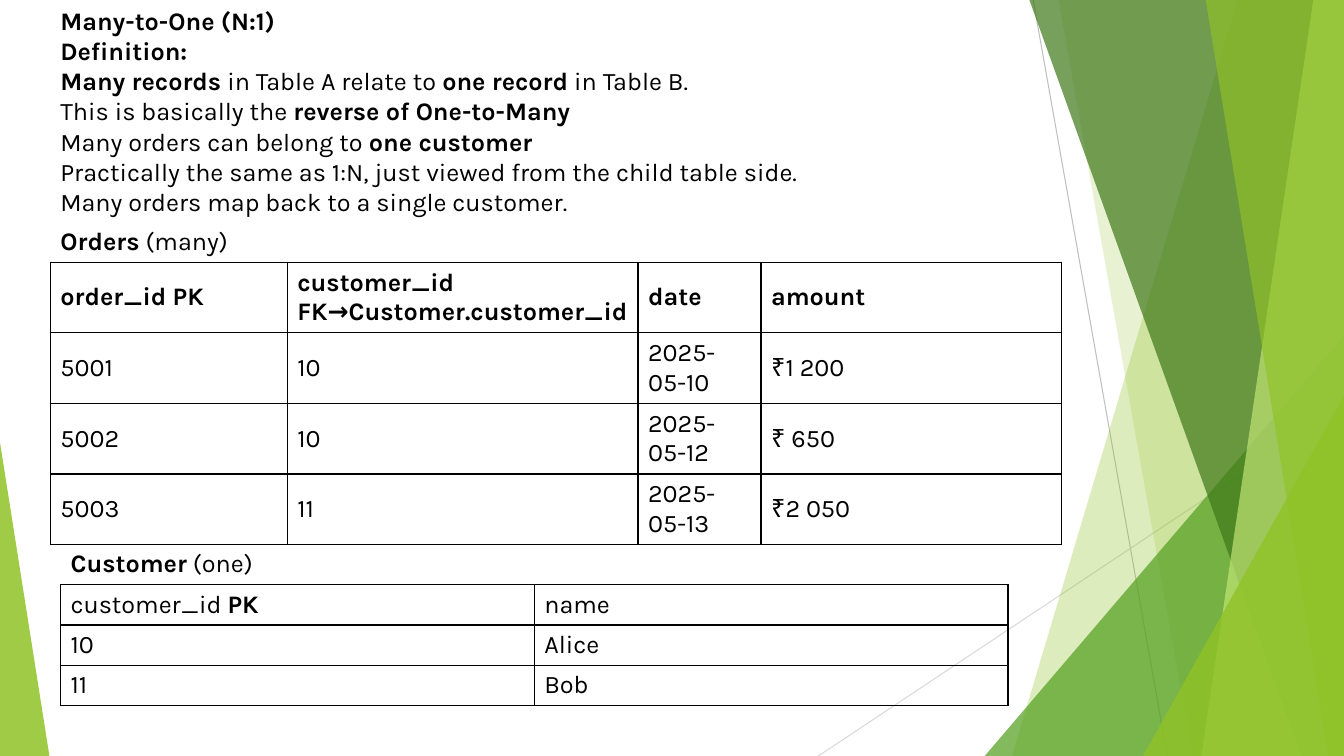
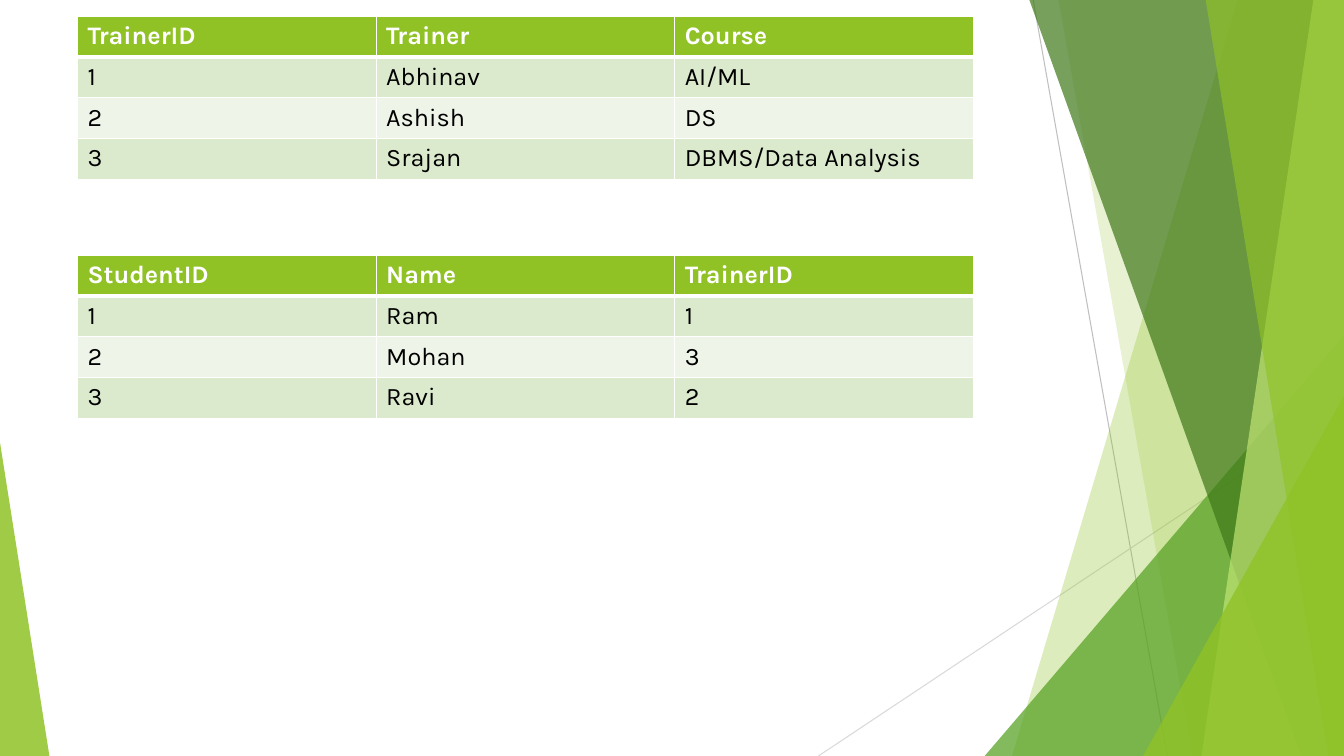
from lxml import etree
from pptx import Presentation
from pptx.dml.color import RGBColor
from pptx.enum import shapes, text
from pptx.oxml import ns
from pptx.util import Pt

WIDTH, HEIGHT = 960, 540
BLEED = 0.6
FONT, FONT_SIZE = "Karla", 18

BLACK = RGBColor(0x00, 0x00, 0x00)
WHITE = RGBColor(0xFF, 0xFF, 0xFF)
LIME = RGBColor(0x90, 0xC2, 0x26)
PALE_LIME = RGBColor(0xC0, 0xE4, 0x74)
GREEN = RGBColor(0x54, 0xA0, 0x21)
DARK_GREEN = RGBColor(0x3F, 0x78, 0x19)
BAND_DARK = RGBColor(0xDB, 0xE9, 0xCD)
BAND_LIGHT = RGBColor(0xEE, 0xF4, 0xE8)
GREY = RGBColor(0xBF, 0xBF, 0xBF)
LIGHT_GREY = RGBColor(0xD9, 0xD9, 0xD9)

DEFINITION = [
    "**Many-to-One (N:1)**",
    "**Definition:**",
    "**Many records** in Table A relate to **one record** in Table B.",
    "This is basically the **reverse of One-to-Many**",
    "Many orders can belong to **one customer**",
    "Practically the same as 1:N, just viewed from the child table side.",
    "Many orders map back to a single customer.",
]
ORDERS = [
    ["**Orders** (many)", "", "", ""],
    ["**order_id PK**", "**customer_id FK→Customer.customer_id**",
     "**date**", "**amount**"],
    ["5001", "10", "2025-05-10", "₹1 200"],
    ["5002", "10", "2025-05-12", "₹ 650"],
    ["5003", "11", "2025-05-13", "₹2 050"],
]
CUSTOMERS = [
    ["**Customer** (one)", ""],
    ["customer_id **PK**", "name"],
    ["10", "Alice"],
    ["11", "Bob"],
]
TRAINERS = [
    ["TrainerID", "Trainer", "Course"],
    ["1", "Abhinav", "AI/ML"],
    ["2", "Ashish", "DS"],
    ["3", "Srajan", "DBMS/Data Analysis"],
]
STUDENTS = [
    ["StudentID", "Name", "TrainerID"],
    ["1", "Ram", "1"],
    ["2", "Mohan", "3"],
    ["3", "Ravi", "2"],
]


def write(paragraph, marked, color=BLACK):
    """Add text to a paragraph; the parts between ** are bold."""
    for index, part in enumerate(marked.split("**")):
        if part:
            run = paragraph.add_run()
            run.text = part
            run.font.name, run.font.size = FONT, Pt(FONT_SIZE)
            run.font.bold = index % 2 == 1
            run.font.color.rgb = color


def tint(shape, color, opacity):
    """Fill a shape with a see-through colour; opacity is in percent."""
    shape.shadow.inherit = False
    shape.line.fill.background()
    shape.fill.solid()
    shape.fill.fore_color.rgb = color
    srgb = shape.element.spPr.find(".//" + ns.qn("a:srgbClr"))
    etree.SubElement(srgb, ns.qn("a:alpha"), val=str(opacity * 1000))


def add_ray(slide, start, end, color):
    ray = slide.shapes.add_connector(
        shapes.MSO_CONNECTOR.STRAIGHT, *(Pt(v) for v in start + end))
    ray.line.color.rgb = color
    ray.line.width = Pt(0.75)
    etree.SubElement(ray.element.spPr, ns.qn("a:effectLst"))


def add_pane(slide, top_x, bottom_x, color, opacity):
    """Fill from a slanted left edge to the right side of the slide."""
    outline = slide.shapes.build_freeform(Pt(top_x), Pt(-BLEED))
    outline.add_line_segments(
        [(Pt(WIDTH), Pt(-BLEED)), (Pt(WIDTH), Pt(HEIGHT)),
         (Pt(bottom_x), Pt(HEIGHT))], close=True)
    tint(outline.convert_to_shape(), color, opacity)


def add_wedge(slide, left, right, top, apex, color, opacity):
    """Stand a triangle on the bottom edge; apex is 0 (left) to 1 (right)."""
    wedge = slide.shapes.add_shape(
        shapes.MSO_SHAPE.ISOSCELES_TRIANGLE,
        Pt(left), Pt(top), Pt(right - left), Pt(HEIGHT - top))
    wedge.adjustments[0] = apex
    tint(wedge, color, opacity)


def move_to_layout(slide):
    """Make everything drawn so far part of the slide's layout."""
    layout = slide.slide_layout
    tree = layout.element.cSld.spTree
    for placeholder in list(layout.placeholders):
        tree.remove(placeholder.element)
    for part in list(slide.shapes):
        tree.append(part.element)


def add_backdrop(slide):
    add_ray(slide, (738, 0), (833.8, HEIGHT), GREY)
    add_ray(slide, (WIDTH, 290.2), (584.6, HEIGHT), LIGHT_GREY)
    add_pane(slide, 884.2, 722.9, LIME, 30)
    add_pane(slide, 756, 851.8, LIME, 20)
    add_wedge(slide, 703.4, WIDTH, 239.8, 1, GREEN, 72)
    add_pane(slide, 735.1, 929.5, DARK_GREEN, 70)
    add_pane(slide, 938.2, 858.2, PALE_LIME, 70)
    add_pane(slide, 861.1, 949, LIME, 65)
    add_wedge(slide, 816.5, WIDTH, 283, 1, LIME, 80)
    add_wedge(slide, 0, 35.3, 316.1, 0, LIME, 85)
    move_to_layout(slide)


def set_borders(cell, color, edges="LRTB", bottom=1):
    """Draw the named cell edges and hide the others; call after filling."""
    properties = cell._tc.get_or_add_tcPr()
    for index, edge in enumerate("LRTB"):
        width = bottom if edge == "B" else 1
        line = etree.Element(ns.qn("a:ln" + edge), w=str(Pt(width)))
        if edge in edges:
            fill = etree.SubElement(line, ns.qn("a:solidFill"))
            etree.SubElement(fill, ns.qn("a:srgbClr"), val=str(color))
        else:
            etree.SubElement(line, ns.qn("a:noFill"))
        properties.insert(index, line)


def add_grid(slide, left, top, widths, heights):
    table = slide.shapes.add_table(
        len(heights), len(widths), Pt(left), Pt(top),
        Pt(sum(widths)), Pt(sum(heights))).table
    table.first_row = table.horz_banding = False
    for column, width in zip(table.columns, widths):
        column.width = Pt(width)
    for row, height in zip(table.rows, heights):
        row.height = Pt(height)
    return table


def add_ruled_table(slide, left, top, widths, row_height, records):
    """Black-ruled table whose first row is an unframed caption."""
    caption_height = 28.8
    heights = [caption_height] + [row_height] * (len(records) - 1)
    table = add_grid(slide, left, top, widths, heights)
    for r, record in enumerate(records):
        for c, value in enumerate(record):
            cell = table.cell(r, c)
            cell.vertical_anchor = text.MSO_ANCHOR.MIDDLE
            write(cell.text_frame.paragraphs[0], value)
            cell.fill.background()
            set_borders(cell, BLACK, "LRTB" if r else "B")


def add_banded_table(slide, left, top, records):
    """Table with a green heading row and alternating tinted rows."""
    column_width, row_height = 213.3, 29.2
    table = add_grid(slide, left, top, [column_width] * len(records[0]),
                     [row_height] * len(records))
    table.first_row = True
    for r, record in enumerate(records):
        heading = r == 0
        band = LIME if heading else BAND_DARK if r % 2 else BAND_LIGHT
        for c, value in enumerate(record):
            cell = table.cell(r, c)
            write(cell.text_frame.paragraphs[0],
                  f"**{value}**" if heading else value,
                  WHITE if heading else BLACK)
            cell.fill.solid()
            cell.fill.fore_color.rgb = band
            set_borders(cell, WHITE, bottom=3 if heading else 1)


def add_definition(slide, left, top, width, height):
    frame = slide.shapes.add_textbox(
        Pt(left), Pt(top), Pt(width), Pt(height)).text_frame
    frame.word_wrap = True
    frame.auto_size = text.MSO_AUTO_SIZE.SHAPE_TO_FIT_TEXT
    for index, sentence in enumerate(DEFINITION):
        paragraph = frame.add_paragraph() if index else frame.paragraphs[0]
        write(paragraph, sentence)


def fill_many_to_one(slide):
    add_definition(slide, 36, 0, 676.8, 181.4)
    add_ruled_table(slide, 36, 158.4, [169.2, 250.6, 87.8, 214.6], 50.4, ORDERS)
    add_ruled_table(slide, 43.2, 388.8, [338.4] * 2, 28.8, CUSTOMERS)


def fill_trainers_and_students(slide):
    for top, records in ((11.5, TRAINERS), (182.2, STUDENTS)):
        add_banded_table(slide, 55.4, top, records)


def main():
    deck = Presentation()
    deck.slide_width, deck.slide_height = Pt(WIDTH), Pt(HEIGHT)
    blank = deck.slide_layouts[6]
    relation = deck.slides.add_slide(blank)
    add_backdrop(relation)
    fill_many_to_one(relation)
    fill_trainers_and_students(deck.slides.add_slide(blank))
    deck.save("out.pptx")


if __name__ == "__main__":
    main()
